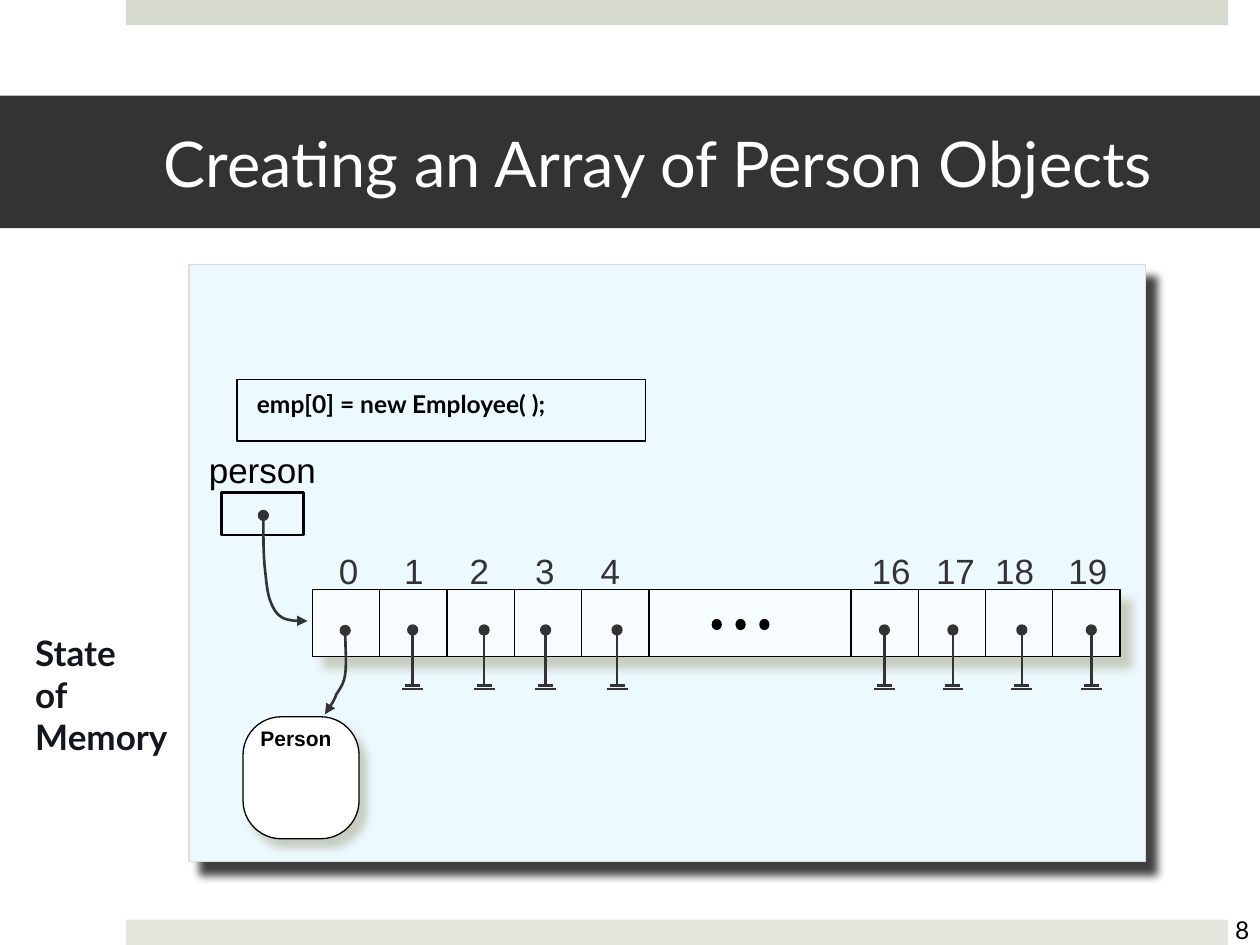
from lxml import etree
from pptx import Presentation
from pptx.dml.color import RGBColor
from pptx.enum.shapes import MSO_CONNECTOR, MSO_SHAPE
from pptx.enum.text import MSO_ANCHOR, MSO_AUTO_SIZE, PP_ALIGN
from pptx.oxml import parse_xml
from pptx.oxml.ns import nsdecls, qn
from pptx.util import Cm, Pt

RECT, ROUNDED, OVAL = MSO_SHAPE.RECTANGLE, MSO_SHAPE.ROUNDED_RECTANGLE, MSO_SHAPE.OVAL
STRAIGHT = MSO_CONNECTOR.STRAIGHT
MIDDLE, LEFT, CENTER = MSO_ANCHOR.MIDDLE, PP_ALIGN.LEFT, PP_ALIGN.CENTER
FIT_SHAPE, NO_FIT = MSO_AUTO_SIZE.SHAPE_TO_FIT_TEXT, MSO_AUTO_SIZE.NONE

COLORS = {
    "band": "333333", "top_bar": "D6D9CD", "bottom_bar": "E4E6DE",
    "panel": "ECF9FE", "panel_edge": "DDDDDD", "array": "F7FDFF",
    "white": "FFFFFF", "black": "000000", "pointer": "333333",
    "memory": "15151D", "soft_shadow": "BBC0AC",
}

# All lengths are in centimetres.
ARRAY_LEFT, ARRAY_TOP, ARRAY_WIDTH, ARRAY_HEIGHT = 6.3, 11.89, 16.28, 1.35
CELL_WIDTH = ARRAY_WIDTH / 12
DIVIDERS = (1, 2, 3, 4, 5, 8, 9, 10, 11)
DOT_Y = 12.7
DOT_SIZE = 0.2
# index, left of its label, centre of its pointer
NULL_CELLS = (
    ("1", 7.9, 8.32), ("2", 9.22, 9.76), ("3", 10.54, 11), ("4", 11.86, 12.44),
    ("16", 17.32, 17.83), ("17", 18.62, 19.21), ("18", 19.81, 20.6), ("19", 21.29, 22),
)
ARRAY_REFERENCE = [
    (5.31, 10.41), (5.31, 10.74), (5.31, 11.07), (5.33, 11.35),
    (5.36, 11.63), (5.38, 11.91), (5.44, 12.09),
    (5.51, 12.27), (5.56, 12.37), (5.69, 12.45),
    (5.82, 12.52), (5.99, 12.52), (6.2, 12.52),
]
PERSON_REFERENCE = [
    (6.96, 12.73), (6.96, 13.03), (6.99, 13.36), (6.96, 13.59),
    (6.93, 13.79), (6.86, 13.87), (6.78, 14),
    (6.73, 14.15), (6.63, 14.27), (6.55, 14.4),
]


def rgb(name):
    return RGBColor.from_string(COLORS[name])


def add_shadow(shape, color, distance, angle):
    effects = parse_xml(
        f'<a:effectLst {nsdecls("a")}><a:outerShdw blurRad="{Pt(5)}" dist="{Pt(distance)}" '
        f'dir="{angle * 60000}" algn="ctr" rotWithShape="0"><a:srgbClr val="{COLORS[color]}">'
        '<a:alpha val="75000"/></a:srgbClr></a:outerShdw></a:effectLst>')
    properties = shape._element.spPr
    properties.replace(properties.find(qn("a:effectLst")), effects)


def add_block(slide, kind, left, top, width, height, fill=None, line=None, weight=0.75):
    block = slide.shapes.add_shape(kind, Cm(left), Cm(top), Cm(width), Cm(height))
    block.shadow.inherit = False
    if fill:
        block.fill.solid()
        block.fill.fore_color.rgb = rgb(fill)
    else:
        block.fill.background()
    if line:
        block.line.color.rgb = rgb(line)
        block.line.width = Pt(weight)
    else:
        block.line.fill.background()
    return block


def add_dot(slide, x, y):
    add_block(slide, OVAL, x - DOT_SIZE / 2, y - DOT_SIZE / 2, DOT_SIZE, DOT_SIZE,
              "pointer", "pointer")


def add_line(slide, start, end, color, weight):
    line = slide.shapes.add_connector(STRAIGHT, *map(Cm, start + end))
    line.line.color.rgb = rgb(color)
    line.line.width = Pt(weight)
    etree.SubElement(line._element.spPr, qn("a:effectLst"))


def write(frame, lines, size, color, font, bold=False, align=LEFT):
    for index, words in enumerate(lines):
        para = frame.paragraphs[0] if index == 0 else frame.add_paragraph()
        para.alignment = align
        span = para.add_run()
        span.text = words
        span.font.name = font
        span.font.size = Pt(size)
        span.font.bold = bold
        span.font.color.rgb = rgb(color)


def add_label(slide, left, top, width, height, lines, size, color, font,
              bold=False, wrap=True, align=LEFT):
    box = slide.shapes.add_textbox(Cm(left), Cm(top), Cm(width), Cm(height))
    box.text_frame.word_wrap = wrap
    box.text_frame.auto_size = FIT_SHAPE
    write(box.text_frame, lines, size, color, font, bold, align)
    return box


def bezier_points(points, steps=8):
    """Sample a chain of cubic curves whose end points are shared."""
    sampled = []
    for first in range(0, len(points) - 1, 3):
        curve = points[first:first + 4]
        for step in range(1, steps + 1):
            t = step / steps
            weights = ((1 - t) ** 3, 3 * t * (1 - t) ** 2, 3 * t ** 2 * (1 - t), t ** 3)
            sampled.append(tuple(Cm(sum(w * point[axis] for w, point in zip(weights, curve)))
                                 for axis in (0, 1)))
    return sampled


def add_curved_arrow(slide, points):
    add_dot(slide, points[0][0], points[0][1] - 0.02)
    builder = slide.shapes.build_freeform(Cm(points[0][0]), Cm(points[0][1]))
    builder.add_line_segments(bezier_points(points), close=False)
    arrow = builder.convert_to_shape()
    arrow.shadow.inherit = False
    arrow.fill.background()
    arrow.line.color.rgb = rgb("pointer")
    arrow.line.width = Pt(1.5)
    etree.SubElement(arrow.line._get_or_add_ln(), qn("a:tailEnd"), type="triangle")


def add_null_pointer(slide, x):
    add_dot(slide, x, DOT_Y)
    add_line(slide, (x, DOT_Y), (x, 13.84), "pointer", 1.5)
    for y, half_width in ((13.82, 0.15), (13.89, 0.21)):
        add_line(slide, (x - half_width, y), (x + half_width, y), "pointer", 1.5)


def add_index(slide, index, left):
    width = 0.91 if len(index) == 1 else 1.3
    add_label(slide, left, 10.95, width, 1.09, [index], 20, "pointer", "Arial", wrap=False)


def add_title(slide):
    title = slide.shapes.title
    title.left, title.top, title.width, title.height = map(Cm, (0, 1.93, 25.4, 2.67))
    title.fill.solid()
    title.fill.fore_color.rgb = rgb("band")
    frame = title.text_frame
    frame.margin_left, frame.margin_right = Cm(3.3), Cm(0.76)
    frame.margin_top = frame.margin_bottom = Cm(0.13)
    frame.vertical_anchor = MIDDLE
    frame.word_wrap = True
    frame.auto_size = NO_FIT
    write(frame, ["Creating an Array of Person Objects"], 36, "white", "Lato")


def add_array(slide):
    array = add_block(slide, RECT, ARRAY_LEFT, ARRAY_TOP, ARRAY_WIDTH, ARRAY_HEIGHT,
                      "array", "black")
    add_shadow(array, "soft_shadow", 8.5, 45)
    for number in DIVIDERS:
        x = ARRAY_LEFT + number * CELL_WIDTH
        add_line(slide, (x, ARRAY_TOP), (x, ARRAY_TOP + ARRAY_HEIGHT), "black", 0.75)
    for number in range(3):
        add_block(slide, OVAL, 14.36 + number * 0.48, 12.49, 0.18, 0.2, "black", "black")
    add_index(slide, "0", 6.58)
    for index, label_left, pointer_x in NULL_CELLS:
        add_index(slide, index, label_left)
        add_null_pointer(slide, pointer_x)


def add_person(slide):
    add_label(slide, 3.96, 8.92, 2.92, 1.09, ["person"], 20, "black", "Arial")
    add_block(slide, RECT, 4.47, 9.93, 1.65, 0.86, line="black", weight=1.5)
    add_curved_arrow(slide, ARRAY_REFERENCE)
    person = add_block(slide, ROUNDED, 4.9, 14.45, 2.34, 2.46, "white", "black")
    person.adjustments[0] = 0.33
    add_shadow(person, "soft_shadow", 6.4, 51)
    add_label(slide, 5, 14.5, 2.13, 0.76, ["Person"], 12, "black", "Arial", bold=True)
    add_curved_arrow(slide, PERSON_REFERENCE)


def add_statement(slide):
    add_block(slide, RECT, 4.78, 7.65, 8.23, 1.24, "panel", "black")
    code = add_label(slide, 4.93, 7.72, 8.05, 0.84, ["emp[0] = new Employee( );"],
                     14, "black", "Lato", bold=True)
    code.fill.solid()
    code.fill.fore_color.rgb = rgb("panel")


def main():
    deck = Presentation()
    deck.slide_width, deck.slide_height = Cm(25.4), Cm(19.05)
    slide = deck.slides.add_slide(deck.slide_layouts[5])
    add_block(slide, RECT, 2.54, 0, 22.22, 0.51, "top_bar")
    add_block(slide, RECT, 2.54, 18.54, 22.22, 0.51, "bottom_bar")
    add_title(slide)
    number = add_label(slide, 24.41, 18.24, 1.27, 1.02, ["8"], 14, "black", "Lato", align=CENTER)
    number.text_frame.auto_size = NO_FIT
    number.text_frame.vertical_anchor = MIDDLE
    add_label(slide, 0.46, 12.6, 3.43, 2.79, ["State", "of", "Memory"], 20, "memory", "Lato",
              bold=True)
    panel = add_block(slide, RECT, 3.81, 5.33, 19.28, 12.04, "panel", "panel_edge")
    add_shadow(panel, "black", 9.2, 49)
    add_array(slide)
    add_person(slide)
    add_statement(slide)
    deck.save("out.pptx")


if __name__ == "__main__":
    main()
